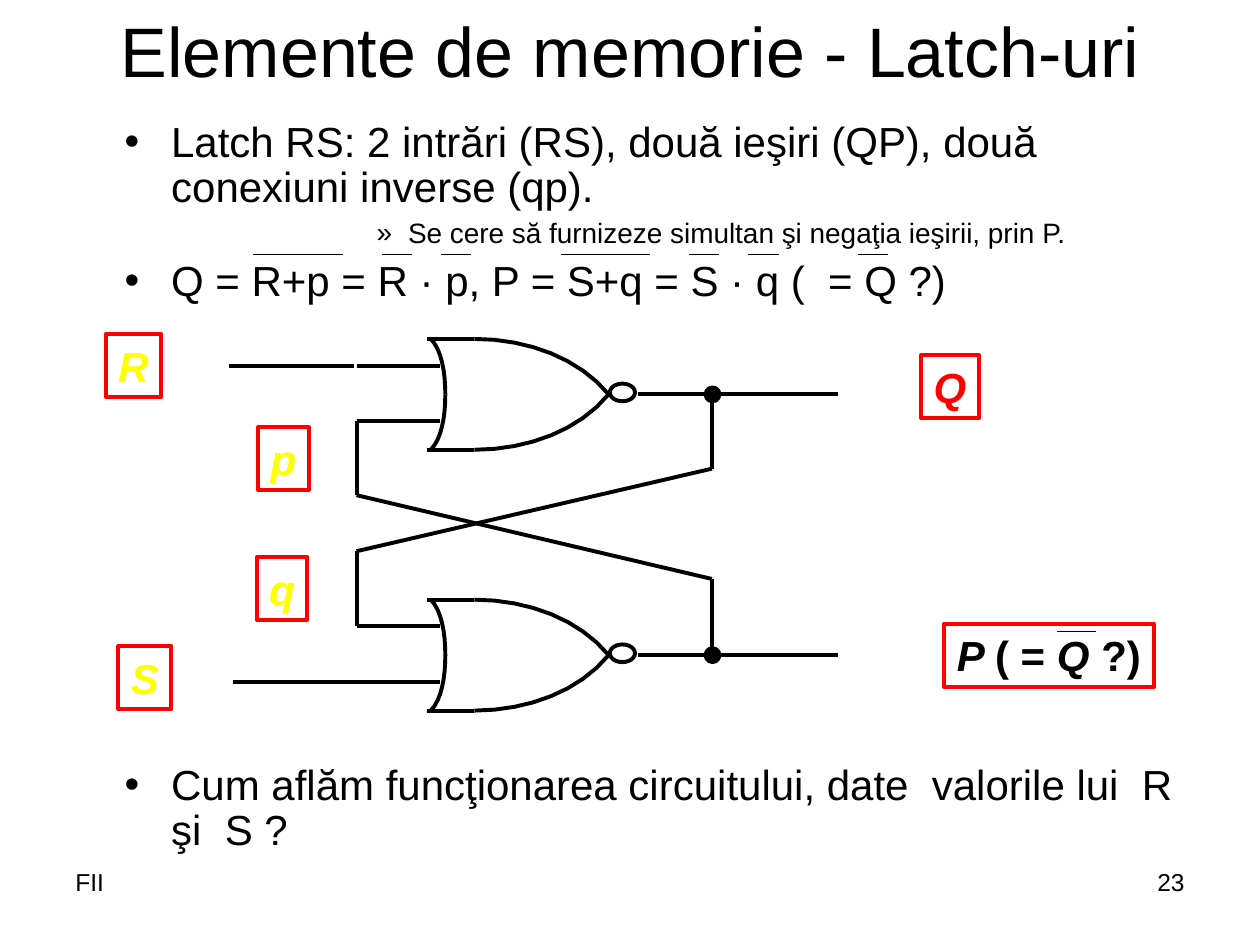
from lxml import etree
from pptx import Presentation
from pptx.dml.color import RGBColor
from pptx.enum.shapes import MSO_CONNECTOR, MSO_SHAPE
from pptx.enum.text import MSO_ANCHOR, MSO_AUTO_SIZE, PP_ALIGN
from pptx.oxml.ns import qn
from pptx.util import Inches, Pt

LINE, RECT, OVAL = MSO_CONNECTOR.STRAIGHT, MSO_SHAPE.RECTANGLE, MSO_SHAPE.OVAL
LEFT, CENTER, RIGHT = PP_ALIGN.LEFT, PP_ALIGN.CENTER, PP_ALIGN.RIGHT
TOP, MIDDLE = MSO_ANCHOR.TOP, MSO_ANCHOR.MIDDLE
FONT, BLACK, RED, YELLOW = "Arial", "000000", "FF0000", "FFFF00"
COLS = 100  # square cells, so the slide has 75 rows
WIRE, THIN = 2.25, 0.75

prs = Presentation()
prs.slide_width, prs.slide_height = Inches(10), Inches(7.5)
CELL = prs.slide_width // COLS


def grid(*cells):
    """Turn grid columns or rows into lengths."""
    return [round(c * CELL) for c in cells]


def color(value):
    return RGBColor.from_string(value)


def add_run(p, text, size, tint=BLACK, bold=False, italic=False):
    r = p.add_run()
    r.text = text
    r.font.name, r.font.size = FONT, Pt(size)
    r.font.bold, r.font.italic = bold, italic
    r.font.color.rgb = color(tint)


def add_text(s, box, text, size, align=LEFT, anchor=TOP):
    tf = s.shapes.add_textbox(*grid(*box)).text_frame
    tf.word_wrap, tf.vertical_anchor = True, anchor
    p = tf.paragraphs[0]
    p.alignment = align
    add_run(p, text, size)


def add_line(s, x1, y1, x2, y2, width=WIRE):
    line = s.shapes.add_connector(LINE, *grid(x1, y1, x2, y2))
    line.line.color.rgb, line.line.width = color(BLACK), Pt(width)
    etree.SubElement(line._element.spPr, qn("a:effectLst"))


def outline(sp, tint=BLACK, fill=None):
    sp.shadow.inherit = False
    if fill:
        sp.fill.solid()
        sp.fill.fore_color.rgb = color(fill)
    else:
        sp.fill.background()
    sp.line.color.rgb, sp.line.width = color(tint), Pt(WIRE)


def add_bullets(s, box, items):
    """Each item is text, size, bullet, left margin, hanging indent, space before."""
    tf = s.shapes.add_textbox(*grid(*box)).text_frame
    tf.word_wrap = True
    for i, (text, size, bullet, margin, hang, before) in enumerate(items):
        p = tf.paragraphs[0] if i == 0 else tf.add_paragraph()
        pPr = p._p.get_or_add_pPr()
        pPr.set("marL", str(Inches(margin)))
        pPr.set("indent", str(-Inches(hang)))
        clr = etree.SubElement(pPr, qn("a:buClr"))
        etree.SubElement(clr, qn("a:srgbClr"), val=BLACK)
        etree.SubElement(pPr, qn("a:buFont"), typeface=FONT)
        etree.SubElement(pPr, qn("a:buChar"), char=bullet)
        p.line_spacing = 0.9
        p.space_before = Pt(before)
        add_run(p, text, size)


def add_label(s, box, runs, tint):
    """Red frame; each run is text and whether it is italic."""
    sp = s.shapes.add_shape(RECT, *grid(*box))
    outline(sp, RED)
    tf = sp.text_frame
    tf.word_wrap, tf.auto_size = False, MSO_AUTO_SIZE.SHAPE_TO_FIT_TEXT
    tf.vertical_anchor = TOP
    p = tf.paragraphs[0]
    p.alignment = CENTER
    for text, italic in runs:
        add_run(p, text, 24, tint, True, italic)


def bezier(a, b, c, d, steps=8):
    weights = [((1 - t) ** 3, 3 * t * (1 - t) ** 2, 3 * t * t * (1 - t), t ** 3)
               for t in (i / steps for i in range(steps + 1))]
    return [tuple(sum(w * pt[k] for w, pt in zip(ws, (a, b, c, d))) for k in (0, 1))
            for ws in weights]


def add_arc(s, points):
    start, *rest = [tuple(grid(*pt)) for pt in points]
    fb = s.shapes.build_freeform(*start)
    fb.add_line_segments(rest, close=False)
    outline(fb.convert_to_shape())


def add_gate(s, x, y, w, h):
    """NOR gate body in the box, with its bubble, inputs and output."""
    mid = y + h / 2
    nose = bezier((x + 0.26 * w, y), (x + 0.56 * w, y),
                  (x + 0.84 * w, y + 0.18 * h), (x + w, mid))
    back = bezier((x + 0.02 * w, y), (x + 0.08 * w, y + 0.1 * h),
                  (x + 0.1 * w, y + 0.3 * h), (x + 0.1 * w, mid))
    for arc in (nose, back):
        add_arc(s, arc)
        add_arc(s, [(px, 2 * mid - py) for px, py in arc])
    for edge in (y, y + h):
        add_line(s, x + 0.26 * w, edge, x, edge)
    outline(s.shapes.add_shape(OVAL, *grid(x + w + 0.1, mid - 0.85, 2, 1.4)))
    for share in (0.24, 0.74):
        add_line(s, x - 5.6, y + share * h, x + 1, y + share * h)
    add_line(s, x + w + 2.3, mid, x + w + 8, mid)


def add_latch(s, x, y, w, h):
    """Two cross-coupled gates; input and output wires reach the box edges."""
    gate_w, gate_h = 14.4, 8.8
    left, right, bottom = x + 10.1, x + 38.3, y + h - gate_h
    for top in (y, bottom):
        add_gate(s, x + 15.7, top, gate_w, gate_h)
        mid = top + gate_h / 2
        add_line(s, right, mid, x + w, mid)
        outline(s.shapes.add_shape(OVAL, *grid(right - 0.5, mid - 0.55, 1.1, 1.1)),
                fill=BLACK)
    r_in, p_in = y + 0.24 * gate_h, y + 0.74 * gate_h
    q_in, s_in = bottom + 0.24 * gate_h, bottom + 0.74 * gate_h
    add_line(s, x, r_in, left - 0.2, r_in)
    add_line(s, x + 0.3, s_in, left, s_in)
    # Feedback wires
    upper, lower = y + 10.3, bottom - 1.65
    add_line(s, right, upper, right, y + gate_h / 2)
    add_line(s, right, upper, left, lower - 2.2)
    add_line(s, left, q_in, left, lower - 2.2)
    add_line(s, right, bottom + gate_h / 2, right, lower)
    add_line(s, left, upper + 2.1, right, lower)
    add_line(s, left, upper + 2.1, left, p_in)


def add_overbars(s, y, bars):
    for x, w in bars:
        add_line(s, x, y, x + w, y, THIN)


def build(s):
    add_text(s, (5, 1.2, 90, 5.5), "Elemente de memorie - Latch-uri", 40, CENTER, MIDDLE)

    # Statements, with room for the circuit before the question
    add_bullets(s, (8.9, 9.1, 87, 60.6), [
        ("Latch RS: 2 intrări (RS), două ieşiri (QP), două conexiuni inverse (qp).",
         24, "•", 0.37, 0.37, 0),
        ("Se cere să furnizeze simultan şi negaţia ieşirii, prin P.",
         16, "»", 2.25, 0.25, 4.5),
        ("Q = R+p = R · p, P = S+q = S · q (  = Q ?)", 24, "•", 0.37, 0.37, 6),
        ("Cum aflăm funcţionarea circuitului, date  valorile lui  R  şi  S ?",
         24, "•", 0.37, 0.37, 262)])

    # Negation bars of the equations
    wide, narrow = 7.1, 2.4
    add_overbars(s, 20.2, [(20.1, wide), (30.3, narrow), (35, narrow), (44.5, wide),
                           (54.7, narrow), (59.4, narrow), (68.1, narrow)])

    # Circuit and its signals
    add_latch(s, 18.2, 26.9, 48.3, 29.5)
    for name, x, y, w in (("R", 8.4, 26.5, 4.4), ("S", 9.4, 51.3, 4.2),
                          ("p", 20.5, 33.9, 4), ("q", 20.4, 44.2, 4)):
        add_label(s, (x, y, w, 5), [(name, True)], YELLOW)
    add_label(s, (73.1, 28.2, 4.6, 5), [("Q", True)], RED)
    add_label(s, (74.9, 49.5, 16.7, 5),
              [("P ", True), ("( = ", False), ("Q ", True), ("?)", False)], BLACK)
    add_overbars(s, 50.1, [(83.9, 3.1)])

    # Footer
    add_text(s, (5, 68.3, 23.3, 5.2), "FII", 14)
    add_text(s, (71.7, 68.3, 23.3, 5.2), "23", 14, RIGHT)


build(prs.slides.add_slide(prs.slide_layouts[6]))
prs.save("out.pptx")
